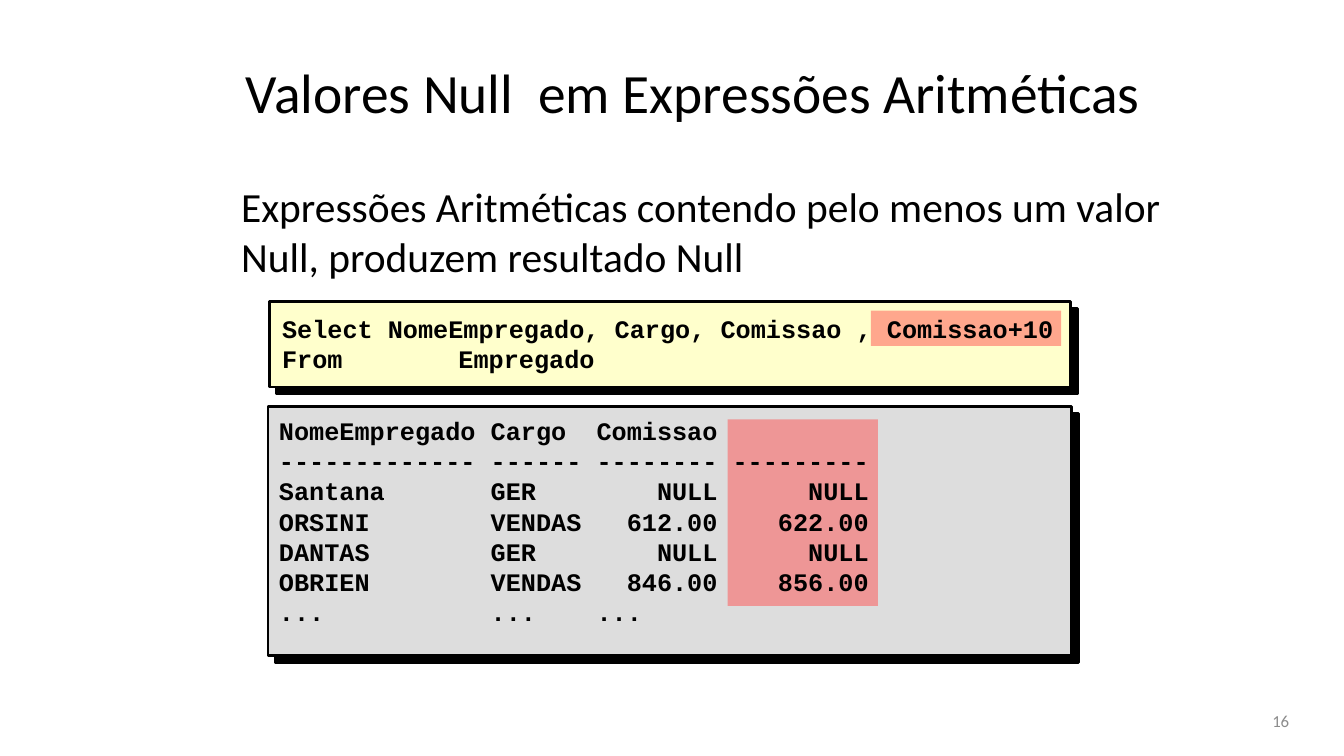
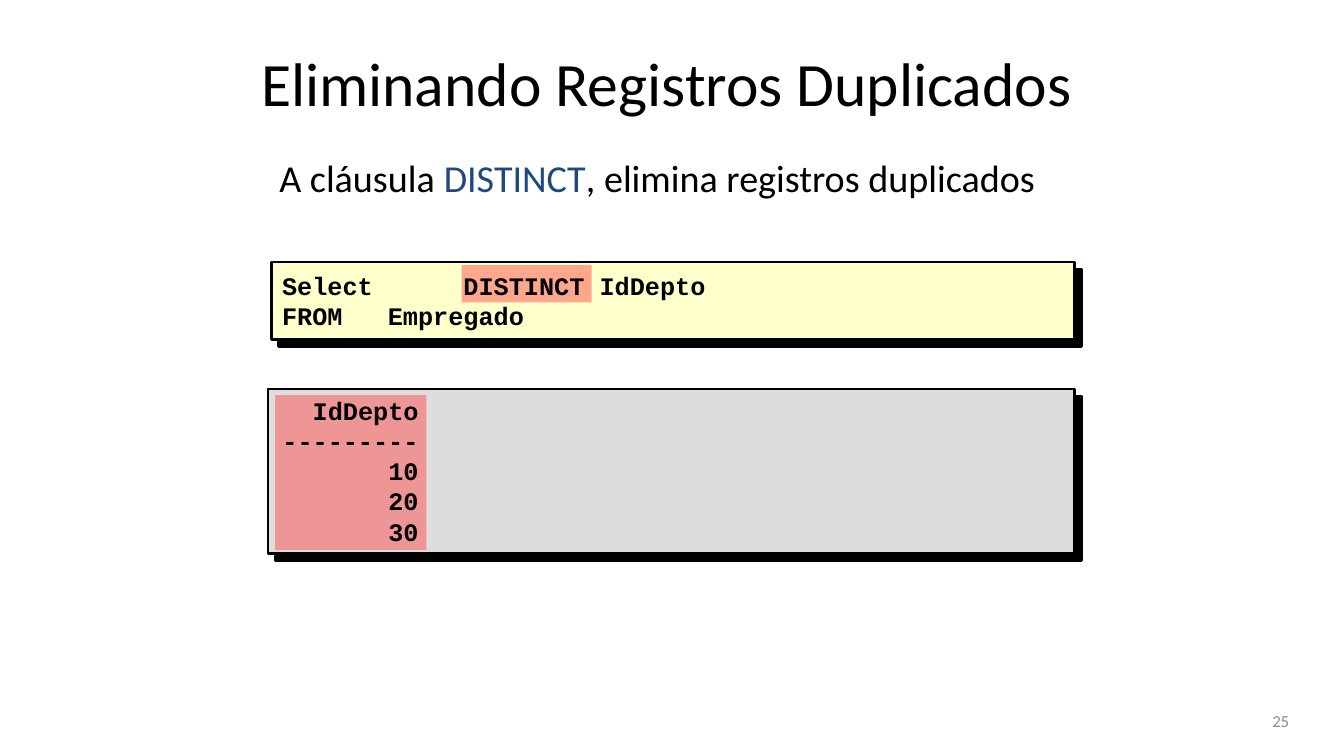
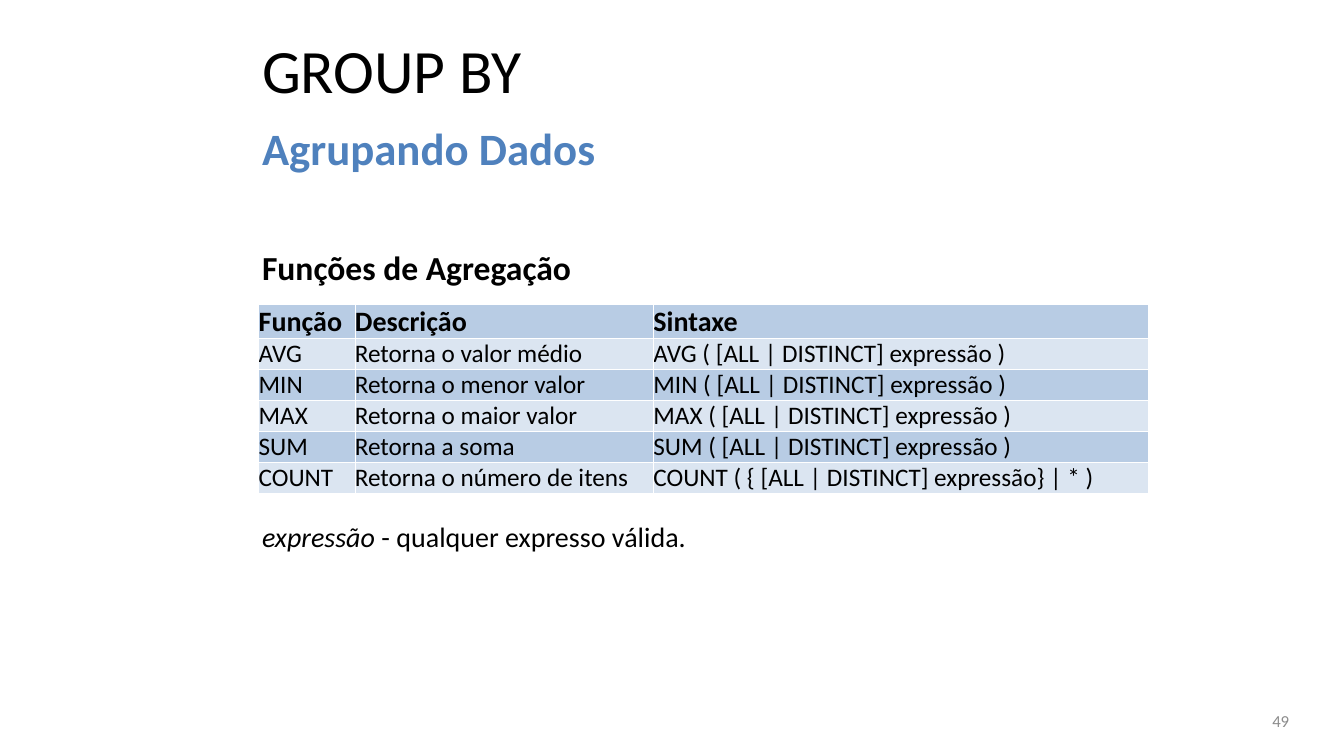
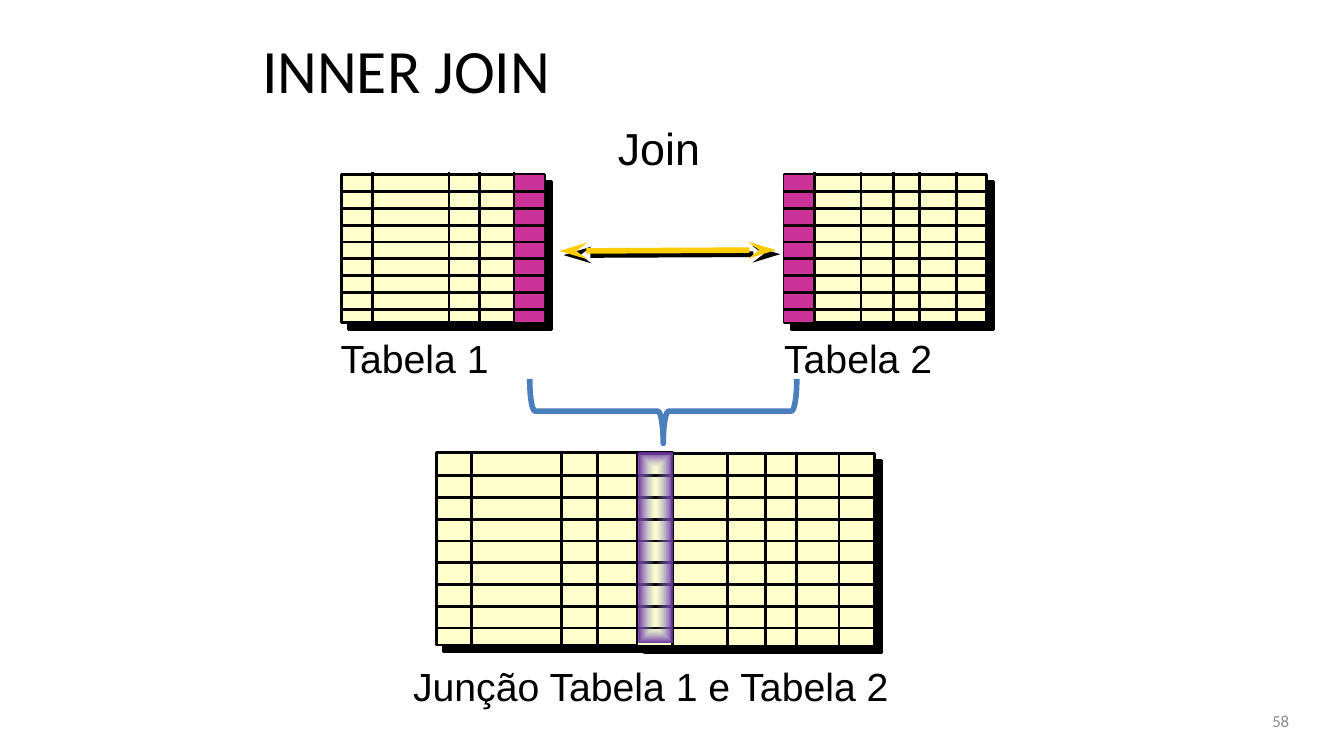
from lxml import etree
from pptx import Presentation
from pptx.dml.color import RGBColor
from pptx.enum import shapes, text
from pptx.oxml import ns
from pptx.util import Pt

COLORS = {
    "black": "000000", "white": "FFFFFF", "number": "8C8C8C",
    "query": "FFFFCC", "result": "DDDDDD", "highlight": "FF5050",
    "keyword": "1F497D", "heading": "4F81BD", "brace": "4B7EBC",
    "dark_row": "B8CCE4", "light_row": "DBE5F1",
    "key": "CC3399", "arrow": "FFCC00", "glow": "9AB5E4", "rim": "7030A0",
}
CODE = dict(font="Courier New", size=18, bold=True)
LEFT, RIGHT = text.PP_ALIGN.LEFT, text.PP_ALIGN.RIGHT
TOP, MIDDLE = text.MSO_ANCHOR.TOP, text.MSO_ANCHOR.MIDDLE


def rgb(name):
    return RGBColor.from_string(COLORS[name])


def child(parent, tag, **attributes):
    element = etree.SubElement(parent, ns.qn(f"a:{tag}"))
    for key, value in attributes.items():
        element.set(key, str(value))
    return element


def add_color(parent, name, alpha=None):
    color = child(parent, "srgbClr", val=COLORS[name])
    if alpha is not None:
        child(color, "alpha", val=alpha * 1000)


def format_run(run, font="Calibri", size=18, color="black", bold=False, italic=False):
    run.font.name = font
    run.font.size = Pt(size)
    run.font.color.rgb = rgb(color)
    run.font.bold = bold
    run.font.italic = italic


def write(frame, paragraphs, **common):
    for index, entry in enumerate(paragraphs):
        entry = entry if isinstance(entry, dict) else dict(runs=entry)
        look = {**common, **entry}
        runs = look.pop("runs")
        paragraph = frame.add_paragraph() if index else frame.paragraphs[0]
        paragraph.alignment = look.pop("align", LEFT)
        paragraph.space_before = Pt(look.pop("before", 0))
        hanging = look.pop("hanging", 0)
        properties = paragraph._p.get_or_add_pPr()
        properties.set("marL", str(Pt(look.pop("margin", hanging))))
        properties.set("indent", str(Pt(-hanging)))
        child(properties, "buNone")
        for part in [(runs, {})] if isinstance(runs, str) else runs:
            run = paragraph.add_run()
            run.text = part[0]
            format_run(run, **{**look, **part[1]})


def cast_shadow(shape, distance):
    effects = child(shape._element.spPr, "effectLst")
    if distance:
        shadow = child(effects, "outerShdw", blurRad=0, dist=Pt(distance),
                       dir=2700000, algn="ctr", rotWithShape=0)
        add_color(shadow, "black")


class Deck:
    def __init__(self):
        self.file = Presentation()
        self.file.slide_width, self.file.slide_height = Pt(960), Pt(540)
        self.slide = None

    def start(self, number, title, box, size=44, body=False):
        layout = self.file.slide_layouts[1 if body else 5]
        self.slide = self.file.slides.add_slide(layout)
        self.fill_placeholder(0, box, [title], MIDDLE, size=size)
        self.label([number], (704, 500.4, 224, 28.8), anchor=MIDDLE,
                   align=RIGHT, size=12, color="number")

    def fill_placeholder(self, index, box, paragraphs, anchor=TOP, **look):
        holder = self.slide.placeholders[index]
        holder.left, holder.top, holder.width, holder.height = map(Pt, box)
        frame = holder.text_frame
        frame.auto_size = text.MSO_AUTO_SIZE.NONE
        frame.vertical_anchor = anchor
        write(frame, paragraphs, **look)

    def body(self, paragraphs, box, **look):
        self.fill_placeholder(1, box, paragraphs, **look)

    def label(self, paragraphs, box, anchor=TOP, wrap=True, **look):
        frame = self.slide.shapes.add_textbox(*map(Pt, box)).text_frame
        frame.word_wrap = wrap
        frame.vertical_anchor = anchor
        write(frame, paragraphs, **look)

    def shape(self, box, kind=shapes.MSO_SHAPE.RECTANGLE, fill=None, alpha=None,
              line=None, weight=2, shadow=0):
        shape = self.slide.shapes.add_shape(kind, *map(Pt, box))
        if fill:
            shape.fill.solid()
            shape.fill.fore_color.rgb = rgb(fill)
            if alpha is not None:
                color = shape._element.spPr.find(".//" + ns.qn("a:srgbClr"))
                child(color, "alpha", val=alpha * 1000)
        else:
            shape.fill.background()
        if line:
            shape.line.color.rgb = rgb(line)
            shape.line.width = Pt(weight)
        else:
            shape.line.fill.background()
        cast_shadow(shape, shadow)
        return shape

    def panel(self, box, fill):
        self.shape(box, fill=fill, line="black", shadow=7.1)

    def highlight(self, box):
        self.shape(box, fill="highlight", alpha=50)

    def line(self, start, end, color="black", weight=2, shadow=0, arrows=False):
        line = self.slide.shapes.add_connector(
            shapes.MSO_CONNECTOR.STRAIGHT, *map(Pt, (*start, *end)))
        line.line.color.rgb = rgb(color)
        line.line.width = Pt(weight)
        if arrows:
            for tag in ("headEnd", "tailEnd"):
                child(line.line._get_or_add_ln(), tag, type="stealth", w="med", len="lg")
        cast_shadow(line, shadow)

    def data_grid(self, box, columns, first_row, pitch, key=None):
        left, top, width, height = box
        self.panel(box, "query")
        if key:
            start, end = key
            self.shape((left + start * width, top + 0.5, (end - start) * width, height - 1),
                       fill="key")
        for fraction in columns:
            x = left + fraction * width
            self.line((x, top - 1.4), (x, top + height + 1.4))
        for row in range(8):
            y = first_row + row * pitch
            self.line((left - 1, y), (left + width + 1.3, y))

    def shared_key(self, box):
        properties = self.shape(box)._element.spPr
        gradient = etree.Element(ns.qn("a:gradFill"))
        stops = child(gradient, "gsLst")
        add_color(child(stops, "gs", pos=0), "glow", 0)
        add_color(child(stops, "gs", pos=100000), "rim")
        center = child(gradient, "path", path="shape")
        child(center, "fillToRect", l=50000, t=50000, r=50000, b=50000)
        properties.replace(properties.find(ns.qn("a:noFill")), gradient)

    def table(self, rows, box, widths):
        table = self.slide.shapes.add_table(len(rows), len(widths), *map(Pt, box)).table
        for column, width in zip(table.columns, widths):
            column.width = Pt(width)
        for r, values in enumerate(rows):
            table.rows[r].height = Pt(22.15 if r else 24)
            for c, value in enumerate(values):
                cell = table.cell(r, c)
                cell.margin_left = cell.margin_right = 0
                cell.margin_top = cell.margin_bottom = 0
                cell.vertical_anchor = MIDDLE
                for side in "LRTB":
                    border = child(cell._tc.get_or_add_tcPr(), f"ln{side}", w=Pt(0.5))
                    add_color(child(border, "solidFill"), "white")
                cell.fill.solid()
                cell.fill.fore_color.rgb = rgb("light_row" if r % 2 else "dark_row")
                write(cell.text_frame, [value], size=18 if r else 20, bold=r == 0)


def null_values(deck):
    deck.start("16", "Valores Null  em Expressões Aritméticas",
               (168.5, 18, 674.6, 94.3), size=39.6, body=True)
    deck.body(["Expressões Aritméticas contendo pelo menos um valor Null, produzem resultado Null"],
              (165, 126, 676, 71.3), size=29.6)
    deck.panel((192.5, 215.3, 572.4, 61.2), "query")
    deck.panel((191.5, 290.2, 573.8, 177.8), "result")
    deck.highlight((622, 221.8, 136, 25.2))
    deck.highlight((519.8, 299.5, 107.3, 133.2))
    deck.label(["Select NomeEmpregado, Cargo, Comissao , Comissao+10",
                dict(runs="From\tEmpregado", hanging=126)],
               (194.4, 213.8, 573.8, 63.4), anchor=MIDDLE, **CODE)
    deck.label(["NomeEmpregado Cargo  Comissao",
                "------------- ------ -------- ---------",
                "Santana       GER        NULL      NULL",
                "ORSINI        VENDAS   612.00    622.00",
                "DANTAS        GER        NULL      NULL",
                "OBRIEN        VENDAS   846.00    856.00",
                "...           ...    ..."],
               (192.2, 293, 572.4, 159.8), **CODE)


def distinct_rows(deck):
    deck.start("25", "Eliminando Registros Duplicados", (179.3, 23.8, 636.5, 69), body=True)
    deck.body([[("A cláusula ", {}), ("DISTINCT", dict(color="keyword")),
                (", elimina registros duplicados", {})]],
              (188, 106.6, 581.8, 61.2), size=27.2, margin=4.3)
    deck.panel((193.7, 187.2, 573.8, 55.4), "query")
    deck.panel((191.5, 277.9, 576, 117.4), "result")
    deck.highlight((329.8, 189.4, 92.9, 26.6))
    deck.highlight((196.6, 282.2, 108, 110.9))
    deck.label([dict(runs="Select\tDISTINCT IdDepto", hanging=129.6),
                dict(runs="FROM\tEmpregado", hanging=75.6)],
               (194.4, 185.8, 576, 57.6), anchor=MIDDLE, **CODE)
    deck.label(["IdDepto", "---------", "10", "20", "30"],
               (194.4, 278.6, 111.6, 118), align=RIGHT, **CODE)


def group_by(deck):
    deck.start("49", "GROUP BY", (180, 4.3, 635.8, 90), body=True)
    deck.body([dict(runs="Agrupando Dados", size=32, bold=True, color="heading"),
               dict(runs="Funções de Agregação", size=24, bold=True, before=51.5),
               dict(runs=[("expressão ", dict(italic=True)), ("- qualquer expresso válida.", {})],
                    size=20, before=166.2)],
              (180, 82.8, 635.8, 447.8))
    usage = "{} ( [ALL | DISTINCT] expressão )"
    simple = [("AVG", "Retorna o valor médio"), ("MIN", "Retorna o menor valor"),
              ("MAX", "Retorna o maior valor"), ("SUM", "Retorna a soma")]
    deck.table([("Função", "Descrição", "Sintaxe"),
                *[(name, role, usage.format(name)) for name, role in simple],
                ("COUNT", "Retorna o número de itens",
                 "COUNT ( { [ALL | DISTINCT] expressão} | * )")],
               (184.8, 217.5, 635.4, 134.75), (68.7, 213.3, 353.4))


def inner_join(deck):
    deck.start("58", "INNER JOIN", (180, 4.3, 635.8, 90))
    first_columns = (0.15, 0.53, 0.68, 0.85)
    second_columns = (0.15, 0.38, 0.54, 0.67, 0.85)
    source_rows = dict(first_row=136.8, pitch=12)
    joined_rows = dict(first_row=339.8, pitch=15.54)
    deck.data_grid((244.1, 124.6, 144.7, 105.8), first_columns, key=(0.85, 1), **source_rows)
    deck.data_grid((560, 124.6, 144.7, 105.8), second_columns, key=(0, 0.15), **source_rows)
    for caption, left in (("Tabela 1", 236.2), ("Tabela 2", 553)):
        deck.label([caption], (left, 235.1, 121.7, 41), wrap=False, font="Arial", size=28)
    deck.label(["Join"], (434.2, 82.8, 74.2, 46), wrap=False, font="Arial", size=32)
    deck.line((399.6, 179.3), (554.4, 178.6), color="arrow", weight=4, shadow=4.2, arrows=True)
    deck.data_grid((311.6, 323.3, 169.2, 137.5), first_columns, **joined_rows)
    deck.data_grid((455, 324, 169.8, 137.5), second_columns, **joined_rows)
    deck.shared_key((456.5, 323.3, 23.8, 135.4))
    brace = deck.shape((450.7, 198.3, 46.1, 190.8), shapes.MSO_SHAPE.RIGHT_BRACE,
                       line="brace", weight=4)
    brace.rotation = 90
    deck.label(["Junção Tabela 1 e Tabela 2"], (288, 469.4, 358.6, 41),
               wrap=False, font="Arial", size=28)


def main():
    deck = Deck()
    for build in (null_values, distinct_rows, group_by, inner_join):
        build(deck)
    deck.file.save("out.pptx")


if __name__ == "__main__":
    main()
